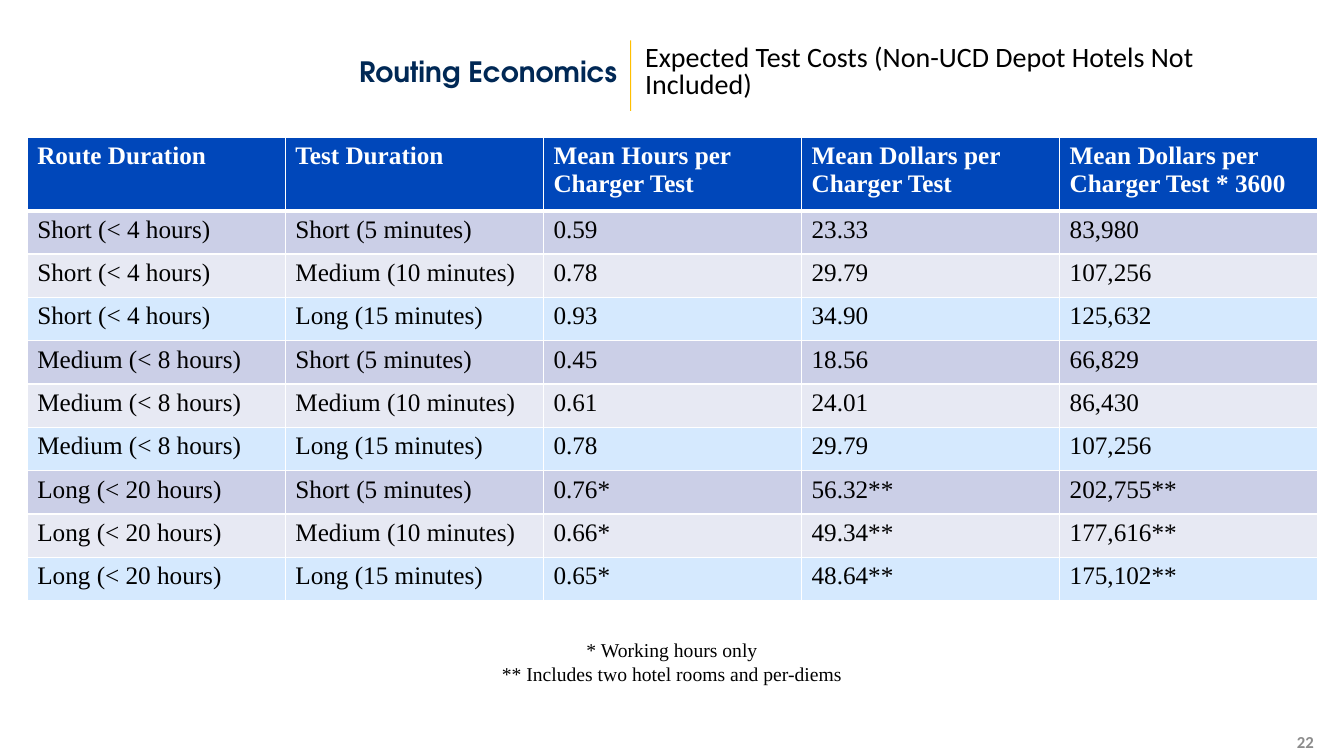
from itertools import product
from pptx import Presentation, util as u
from pptx.dml.color import RGBColor
from pptx.enum import shapes, text
from pptx.oxml import parse_xml
from pptx.oxml.ns import nsdecls

WHITE, BLACK, SERIF = "FFFFFF", "000000", "Times New Roman"


def color(value):
    return RGBColor.from_string(value)


def write(frame, content, font="Calibri", size=20, ink=BLACK, bold=False,
          align="LEFT", anchor="MIDDLE", line=None, before=None):
    frame.word_wrap = True
    frame.vertical_anchor = text.MSO_ANCHOR[anchor]
    for index, words in enumerate(content.split("\n")):
        paragraph = frame.add_paragraph() if index else frame.paragraphs[0]
        paragraph.alignment = text.PP_ALIGN[align]
        paragraph.line_spacing = line
        paragraph.space_before = before
        run = paragraph.add_run()
        run.text = words
        run.font.name = font
        run.font.size = u.Pt(size)
        run.font.bold = bold
        run.font.color.rgb = color(ink)


presentation = Presentation()
presentation.slide_width = u.Inches(13.33)
presentation.slide_height = u.Inches(7.5)
slide = presentation.slides.add_slide(presentation.slide_layouts[6])

divider = slide.shapes.add_shape(shapes.MSO_SHAPE.RECTANGLE, u.Inches(6.25),
                                 u.Inches(0.4), u.Inches(0.01), u.Inches(0.7))
divider.shadow.inherit = False
divider.fill.solid()
divider.fill.fore_color.rgb = color("FFBF00")
divider.line.fill.background()

section = slide.shapes.add_textbox(u.Inches(0.27), u.Inches(0.35), u.Inches(5.95), u.Inches(0.75))
section.text_frame.margin_left = u.Inches(0.6)
write(section.text_frame, "Routing Economics", font="TeX Gyre Adventor", ink="002855",
      bold=True, align="RIGHT", line=0.9, before=u.Pt(10))

title = slide.shapes.add_textbox(u.Inches(6.3), u.Inches(0.35), u.Inches(6.72), u.Inches(0.75))
write(title.text_frame, "Expected Test Costs (Non-UCD Depot Hotels Not Included)", line=0.8)

number = slide.shapes.add_textbox(u.Inches(10.13), u.Inches(7.22), u.Inches(3), u.Inches(0.28))
write(number.text_frame, "22", size=12, ink="8C8C8C", bold=True, align="RIGHT")

headings = ["Route Duration", "Test Duration", "Mean Hours per Charger Test",
            "Mean Dollars per Charger Test", "Mean Dollars per Charger Test * 3600"]
routes = ["Short (< 4 hours)", "Medium (< 8 hours)", "Long (< 20 hours)"]
tests = ["Short (5 minutes)", "Medium (10 minutes)", "Long (15 minutes)"]
costs = [
    ("0.59", "23.33", "83,980"),
    ("0.78", "29.79", "107,256"),
    ("0.93", "34.90", "125,632"),
    ("0.45", "18.56", "66,829"),
    ("0.61", "24.01", "86,430"),
    ("0.78", "29.79", "107,256"),
    ("0.76*", "56.32**", "202,755**"),
    ("0.66*", "49.34**", "177,616**"),
    ("0.65*", "48.64**", "175,102**"),
]
rows = [headings] + [[*durations, *cost] for durations, cost in zip(product(routes, tests), costs)]
test_fills = ["CBCFE7", "E7E9F3", "D5E9FE"]

table = slide.shapes.add_table(len(rows), len(headings), u.Inches(0.27), u.Inches(1.36),
                               u.Inches(12.8), u.Inches(4.6)).table
for column in table.columns:
    column.width = u.Inches(2.56)
for row_index, row in enumerate(rows):
    header = row_index == 0
    table.rows[row_index].height = u.Inches(0.73 if header else 0.43)
    for column_index, words in enumerate(row):
        cell = table.cell(row_index, column_index)
        write(cell.text_frame, words, font=SERIF, size=18, ink=WHITE if header else BLACK,
              bold=header, anchor="TOP")
        cell.fill.solid()
        cell.fill.fore_color.rgb = color("0047BA" if header else test_fills[(row_index - 1) % 3])
        properties = cell._tc.get_or_add_tcPr()
        for position, side in enumerate("LRTB"):
            thick = (row_index, side) in [(0, "B"), (1, "T")]
            properties.insert(position, parse_xml(
                f'<a:ln{side} {nsdecls("a")} w="{u.Pt(3 if thick else 1)}"><a:solidFill>'
                f'<a:srgbClr val="{WHITE}"/></a:solidFill></a:ln{side}>'))

footnotes = slide.shapes.add_textbox(u.Inches(2.88), u.Inches(6.28), u.Inches(7.57), u.Inches(0.57))
write(footnotes.text_frame, "* Working hours only\n** Includes two hotel rooms and per-diems",
      font=SERIF, size=14, align="CENTER", anchor="TOP")

presentation.save("out.pptx")
